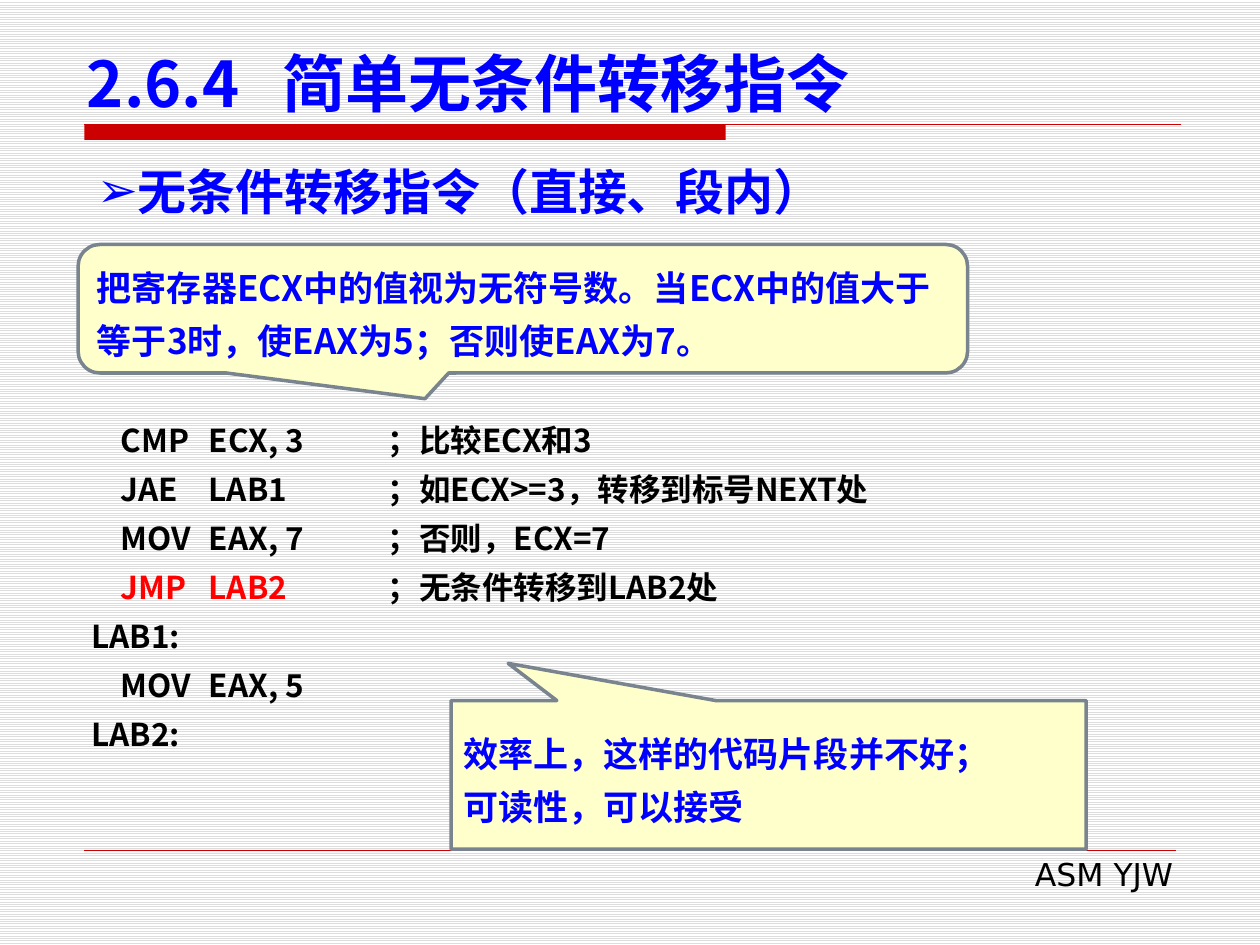
from lxml import etree
from pptx import Presentation
from pptx.dml.color import RGBColor
from pptx.enum.dml import MSO_PATTERN
from pptx.enum.shapes import MSO_CONNECTOR, MSO_SHAPE
from pptx.enum.text import MSO_ANCHOR, MSO_AUTO_SIZE, PP_ALIGN
from pptx.oxml.ns import qn
from pptx.util import Inches, Pt

LIGHT_HORIZONTAL = MSO_PATTERN.LIGHT_HORIZONTAL
STRAIGHT = MSO_CONNECTOR.STRAIGHT
RECTANGLE = MSO_SHAPE.RECTANGLE
ROUND_CALLOUT = MSO_SHAPE.ROUNDED_RECTANGULAR_CALLOUT
RECT_CALLOUT = MSO_SHAPE.RECTANGULAR_CALLOUT
TOP, MIDDLE, BOTTOM = MSO_ANCHOR.TOP, MSO_ANCHOR.MIDDLE, MSO_ANCHOR.BOTTOM
NO_AUTOFIT = MSO_AUTO_SIZE.NONE
LEFT, RIGHT = PP_ALIGN.LEFT, PP_ALIGN.RIGHT
SANS, CJK = "DejaVu Sans", "Noto Sans CJK SC"
RED, BLUE, BLACK = "CC0000", "0000FF", "000000"

rgb = RGBColor.from_string


def write(sp, lines, size, color, font=CJK, bold=True, align=LEFT,
          anchor=TOP, spacing=None, tabs=()):
    """Fill a shape with one paragraph per line; tabs are stops in inches."""
    tf = sp.text_frame
    tf.text = "\n".join(lines)
    tf.word_wrap = True
    tf.auto_size = NO_AUTOFIT
    tf.vertical_anchor = anchor
    for p in tf.paragraphs:
        p.alignment = align
        if spacing:
            p.line_spacing = Pt(spacing)
        if tabs:
            stops = etree.SubElement(p._p.get_or_add_pPr(), qn("a:tabLst"))
            for pos in tabs:
                etree.SubElement(stops, qn("a:tab"), pos=str(Inches(pos)), algn="l")
        for r in p.runs:
            r.font.name = font
            r.font.size = Pt(size)
            r.font.bold = bold
            r.font.color.rgb = rgb(color)
            etree.SubElement(r._r.get_or_add_rPr(), qn("a:ea"), typeface=CJK)
    return tf


prs = Presentation()
prs.slide_width, prs.slide_height = Inches(10), Inches(7.5)
s = prs.slides.add_slide(prs.slide_layouts[5])

# Background
fill = s.background.fill
fill.patterned()
fill.pattern = LIGHT_HORIZONTAL
fill.fore_color.rgb = rgb("DDDDDD")
fill.back_color.rgb = rgb("FFFFFF")

# Rules under the title and above the footer
bar = s.shapes.add_shape(RECTANGLE, Inches(0.67), Inches(0.99), Inches(5.09), Inches(0.12))
bar.shadow.inherit = False
bar.fill.solid()
bar.fill.fore_color.rgb = rgb(RED)
bar.line.fill.background()
for y, right, width in [(0.99, 9.37, 0.75), (6.75, 9.33, 0.25)]:
    rule = s.shapes.add_connector(STRAIGHT, Inches(0.67), Inches(y), Inches(right), Inches(y))
    rule.line.color.rgb = rgb(RED)
    rule.line.width = Pt(width)
    etree.SubElement(rule._element.spPr, qn("a:effectLst"))

# Footer
footer = s.shapes.add_textbox(Inches(3.82), Inches(6.74), Inches(5.59), Inches(0.4))
write(footer, ["ASM YJW"], 18, BLACK, font=SANS, bold=False, align=RIGHT)

# Title
title = s.shapes.title
title.left, title.top = Inches(0.59), Inches(0.29)
title.width, title.height = Inches(9.06), Inches(0.71)
write(title, ["2.6.4\t简单无条件转移指令"], 36, BLUE, anchor=BOTTOM, tabs=[1.55])

# Bulleted heading
heading = s.shapes.add_textbox(Inches(0.67), Inches(1.23), Inches(8.66), Inches(0.57))
tf = write(heading, ["无条件转移指令（直接、段内）"], 28, BLUE, font=SANS)
pPr = tf.paragraphs[0]._p.get_or_add_pPr()
pPr.set("marL", str(Inches(0.31)))
pPr.set("indent", str(-Inches(0.31)))
etree.SubElement(pPr, qn("a:buFont"), typeface=SANS)
etree.SubElement(pPr, qn("a:buChar"), char="➢")

# Code listing: columns for instruction, operands and comment
code = s.shapes.add_textbox(Inches(0.63), Inches(3.2), Inches(9.41), Inches(2.85))
tf = write(code, [
    "\tCMP\tECX, 3\t；比较ECX和3",
    "\tJAE\tLAB1\t；如ECX>=3，转移到标号NEXT处",
    "\tMOV\tEAX, 7\t；否则，ECX=7",
    "\tJMP\tLAB2\t",
    "LAB1:",
    "\tMOV\tEAX, 5",
    "LAB2:",
], 18, BLACK, spacing=28, tabs=[0.23, 0.93, 2.35])
jump = tf.paragraphs[3]
r = jump.add_run()
r.text = "；无条件转移到LAB2处"
r.font.name, r.font.size, r.font.bold = CJK, Pt(18), True
r.font.color.rgb = rgb(BLACK)
etree.SubElement(r._r.get_or_add_rPr(), qn("a:ea"), typeface=CJK)
jump.runs[0].font.color.rgb = rgb("FF0000")

# Callouts
callouts = [
    (ROUND_CALLOUT, (0.62, 1.94, 7.06, 1.02), (-0.11, 0.7, 0.17), CJK,
     ["把寄存器ECX中的值视为无符号数。当ECX中的值大于等于3时，使EAX为5；否则使EAX为7。"]),
    (RECT_CALLOUT, (3.58, 5.56, 5.04, 1.18), (-0.41, -0.75), SANS,
     ["效率上，这样的代码片段并不好；", "可读性，可以接受"]),
]
for kind, box, adjustments, font, lines in callouts:
    sp = s.shapes.add_shape(kind, *map(Inches, box))
    sp.shadow.inherit = False
    for i, value in enumerate(adjustments):
        sp.adjustments[i] = value
    sp.fill.solid()
    sp.fill.fore_color.rgb = rgb("FFFFCC")
    sp.line.color.rgb = rgb("79848F")
    sp.line.width = Pt(2)
    write(sp, lines, 20, BLUE, font=font, anchor=MIDDLE, spacing=30)

prs.save("out.pptx")
